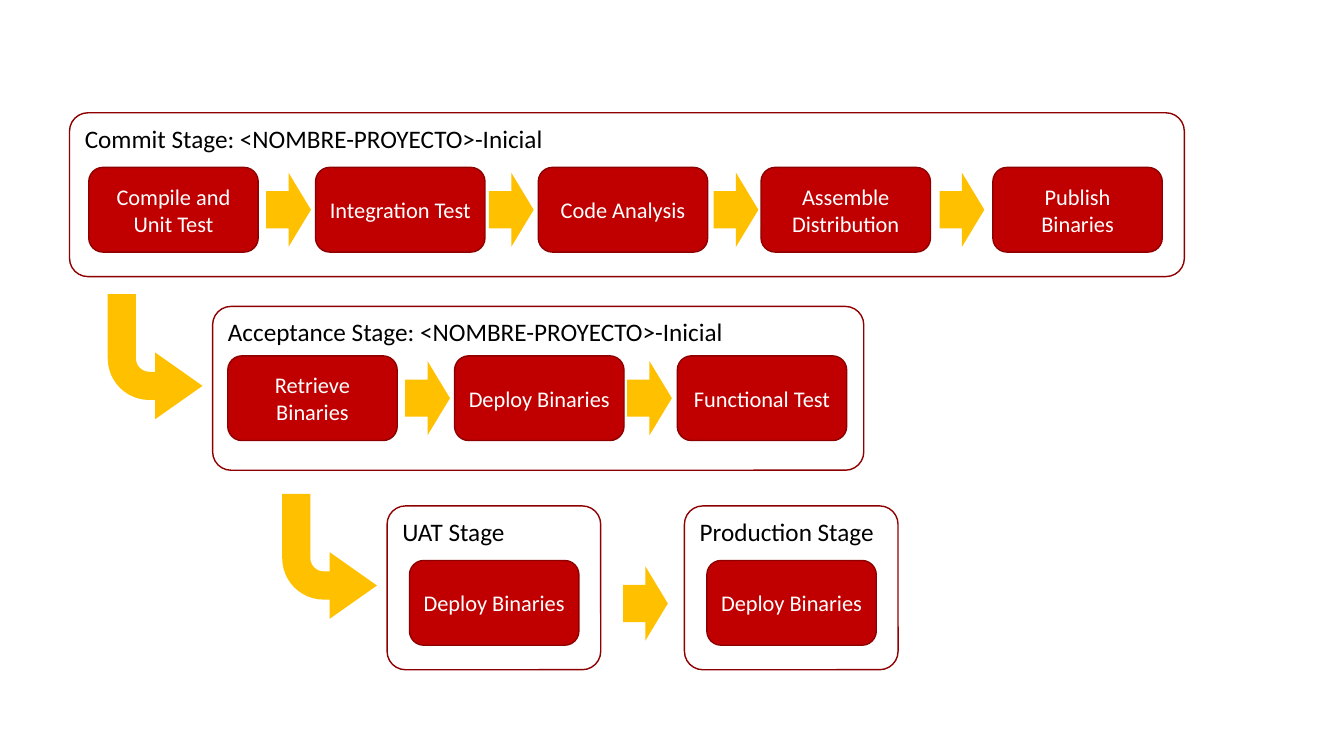
from pptx import Presentation
from pptx.dml.color import RGBColor
from pptx.enum.shapes import MSO_SHAPE as Preset
from pptx.enum.text import MSO_ANCHOR as Anchor, PP_ALIGN as Align
from pptx.oxml.ns import qn
from pptx.util import Pt

COLORS = {"panel": "FFFFFF", "step": "C00000", "border": "8E0000",
          "arrow": "FFC000", "heading": "000000", "label": "FFFFFF"}
FONT = "Calibri"
STAGE_HEIGHT = 117
STEP_WIDTH, STEP_HEIGHT = 121, 60.5
ARROW_WIDTH, ARROW_HEIGHT = 32, 53
ELBOW_WIDTH, ELBOW_HEIGHT = 67.7, 89.3


def rgb(name):
    return RGBColor.from_string(COLORS[name])


def add_block(slide, preset, box, fill, border=None, adjust=()):
    block = slide.shapes.add_shape(preset, *(Pt(length) for length in box))
    block.shadow.inherit = False
    block.fill.solid()
    block.fill.fore_color.rgb = rgb(fill)
    if border:
        block.line.color.rgb = rgb(border)
        block.line.width = Pt(1)
    else:
        block.line.fill.background()
    for index, value in enumerate(adjust):
        block.adjustments[index] = value
    return block


def write(block, text, size, color, align, anchor):
    frame = block.text_frame
    frame.text = text
    frame.word_wrap = True
    frame.vertical_anchor = anchor
    line = frame.paragraphs[0]
    line.alignment = align
    font = line.runs[0].font
    font.name, font.size = FONT, Pt(size)
    font.color.rgb = rgb(color)


def add_arrow(slide, left, top):
    add_block(slide, Preset.RIGHT_ARROW,
              (left, top, ARROW_WIDTH, ARROW_HEIGHT), "arrow")


def add_elbow(slide, left, top):
    """Arrow that runs down and then right into the next stage."""
    elbow = add_block(slide, Preset.BENT_ARROW,
                      (left, top, ELBOW_WIDTH, ELBOW_HEIGHT), "arrow",
                      adjust=(0.297, 0.352, 0.5, 0.438))
    elbow.element.spPr.find(qn("a:xfrm")).set("flipV", "1")


def add_stage(slide, left, top, width, heading, steps, arrows=(), step_top=39):
    """Stage panel; steps and arrows are offset from its top left corner."""
    panel = add_block(slide, Preset.ROUNDED_RECTANGLE,
                      (left, top, width, STAGE_HEIGHT),
                      "panel", "border", adjust=(0.112,))
    write(panel, heading, 18, "heading", Align.LEFT, Anchor.TOP)
    for offset, label in steps:
        step = add_block(slide, Preset.ROUNDED_RECTANGLE,
                         (left + offset, top + step_top, STEP_WIDTH, STEP_HEIGHT),
                         "step", "border")
        write(step, label, 16, "label", Align.CENTER, Anchor.MIDDLE)
    for offset in arrows:
        arrow_top = top + step_top + (STEP_HEIGHT - ARROW_HEIGHT) / 2
        add_arrow(slide, left + offset, arrow_top)


def build_pipeline(slide):
    # Commit stage
    add_stage(slide, 49.7, 80.6, 796.3, "Commit Stage: <NOMBRE-PROYECTO>-Inicial",
              [(13.7, "Compile and Unit Test"), (175.7, "Integration Test"),
               (334.8, "Code Analysis"), (493.9, "Assemble Distribution"),
               (659.5, "Publish Binaries")],
              arrows=(140.4, 299.5, 460, 621.4))

    # Acceptance stage
    add_elbow(slide, 77, 210.2)
    add_stage(slide, 151.9, 218.9, 465.1,
              "Acceptance Stage: <NOMBRE-PROYECTO>-Inicial",
              [(10.8, "Retrieve Binaries"), (172.8, "Deploy Binaries"),
               (331.9, "Functional Test")],
              arrows=(137.5, 296), step_top=35.3)

    # UAT and production stages
    add_elbow(slide, 201.6, 352.8)
    for left, heading in ((276.5, "UAT Stage"), (488.9, "Production Stage")):
        add_stage(slide, left, 361.4, 152.6, heading, [(16, "Deploy Binaries")])
    add_arrow(slide, 445, 404.6)


deck = Presentation()
deck.slide_width, deck.slide_height = Pt(960), Pt(540)
build_pipeline(deck.slides.add_slide(deck.slide_layouts[6]))
deck.save("out.pptx")
